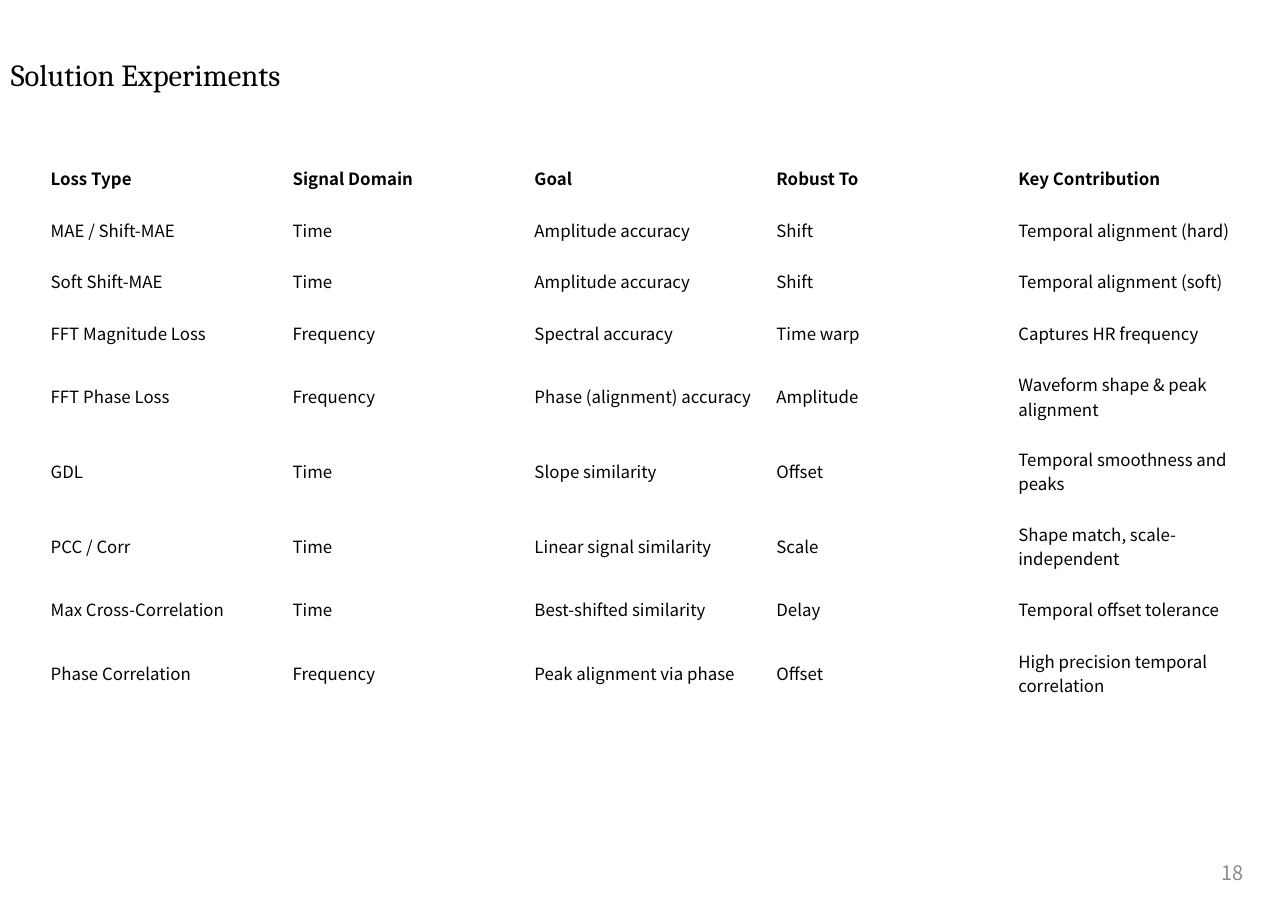
from pptx import Presentation
from pptx.dml.color import RGBColor
from pptx.enum import text as t
from pptx.util import Inches, Pt

COLORS = {"ink": "000000", "number": "8C8C8C"}
SERIF = "Cambria"
SANS = "Noto Sans CJK KR"

LOSSES = [
    ("Loss Type", "Signal Domain", "Goal", "Robust To", "Key Contribution"),
    ("MAE / Shift-MAE", "Time", "Amplitude accuracy", "Shift",
     "Temporal alignment (hard)"),
    ("Soft Shift-MAE", "Time", "Amplitude accuracy", "Shift",
     "Temporal alignment (soft)"),
    ("FFT Magnitude Loss", "Frequency", "Spectral accuracy", "Time warp",
     "Captures HR frequency"),
    ("FFT Phase Loss", "Frequency", "Phase (alignment) accuracy", "Amplitude",
     "Waveform shape & peak alignment"),
    ("GDL", "Time", "Slope similarity", "Offset",
     "Temporal smoothness and peaks"),
    ("PCC / Corr", "Time", "Linear signal similarity", "Scale",
     "Shape match, scale-independent"),
    ("Max Cross-Correlation", "Time", "Best-shifted similarity", "Delay",
     "Temporal offset tolerance"),
    ("Phase Correlation", "Frequency", "Peak alignment via phase", "Offset",
     "High precision temporal correlation"),
]
SHORT, TALL = 0.47, 0.68
WRAP = 26  # longest text, in letters, that fits one line of a cell


def add_run(para, words, size, font, color="ink", bold=False):
    run = para.add_run()
    run.text = words
    run.font.size = Pt(size)
    run.font.name = font
    run.font.bold = bold
    run.font.color.rgb = RGBColor.from_string(COLORS[color])


def add_frame(slide, box):
    """Add a wrapping text box and return its text frame."""
    frame = slide.shapes.add_textbox(*map(Inches, box)).text_frame
    frame.word_wrap = True
    return frame


def add_title(slide, box, words):
    para = add_frame(slide, box).paragraphs[0]
    para.line_spacing = 1.5
    add_run(para, words, 20, SERIF)


def add_number(slide, box, words):
    frame = add_frame(slide, box)
    frame.vertical_anchor = t.MSO_ANCHOR.MIDDLE
    frame.margin_left = frame.margin_right = Inches(0.11)
    para = frame.paragraphs[0]
    para.alignment = t.PP_ALIGN.RIGHT
    add_run(para, words, 13, SANS, "number")


def fill_cell(cell, words, bold):
    cell.fill.background()
    cell.vertical_anchor = t.MSO_ANCHOR.MIDDLE
    cell.margin_left = cell.margin_right = Inches(0.05)
    cell.margin_top = cell.margin_bottom = Inches(0.03)
    add_run(cell.text_frame.paragraphs[0], words, 11, SANS, bold=bold)


def add_losses(slide, box, rows):
    size = len(rows), len(rows[0])
    table = slide.shapes.add_table(*size, *map(Inches, box)).table
    table.first_row = table.horz_banding = False
    for i, row in enumerate(rows):
        tall = max(map(len, row)) > WRAP
        table.rows[i].height = Inches(TALL if tall else SHORT)
        for j, words in enumerate(row):
            fill_cell(table.cell(i, j), words, bold=i == 0)


def main():
    deck = Presentation()
    deck.slide_width, deck.slide_height = Inches(11.69), Inches(8.27)
    slide = deck.slides.add_slide(deck.slide_layouts[6])
    add_title(slide, (0, 0.29, 9.11, 0.55), "Solution Experiments")
    add_number(slide, (8.67, 7.7, 2.73, 0.44), "18")
    add_losses(slide, (0.41, 1.38, 10.98, 5.1), LOSSES)
    deck.save("out.pptx")


if __name__ == "__main__":
    main()
